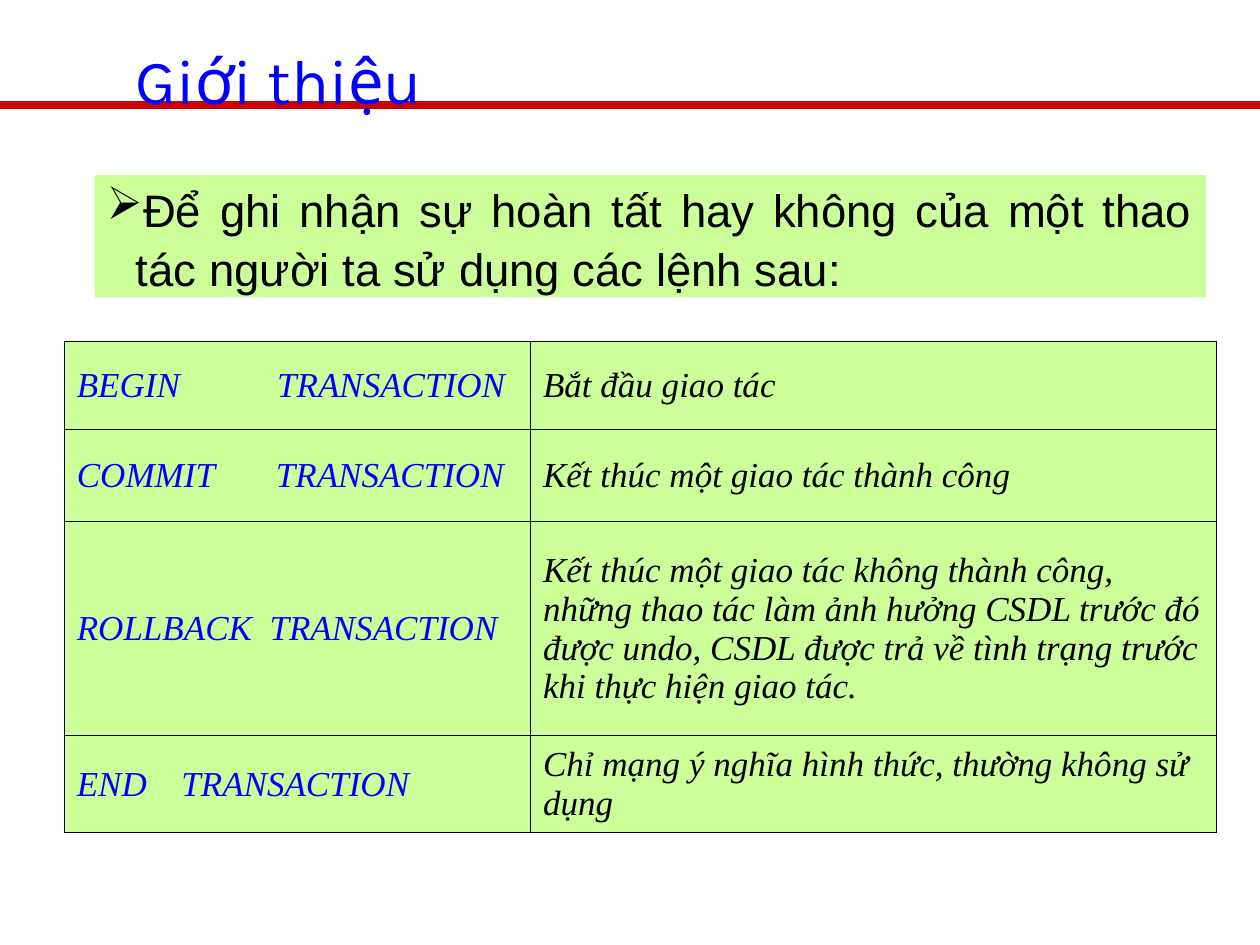
from lxml.etree import SubElement
from pptx import Presentation
from pptx.dml.color import RGBColor
from pptx.enum.shapes import MSO_CONNECTOR, MSO_SHAPE
from pptx.enum.text import MSO_ANCHOR, PP_ALIGN
from pptx.oxml.ns import qn
from pptx.util import Inches, Pt

COLORS = {"rule": "CC0000", "accent": "0000FF", "panel": "CCFF99", "ink": "000000"}

# Command words, tab stop of the second word in inches, meaning
COMMANDS = [
    ("BEGIN\tTRANSACTION", 1.59, "Bắt đầu giao tác"),
    ("COMMIT\tTRANSACTION", 1.58, "Kết thúc một giao tác thành công"),
    ("ROLLBACK\tTRANSACTION", 1.53,
     "Kết thúc một giao tác không thành công, những thao tác làm ảnh hưởng CSDL "
     "trước đó được undo, CSDL được trả về tình trạng trước khi thực hiện giao tác."),
    ("END\tTRANSACTION", 0.83, "Chỉ mạng ý nghĩa hình thức, thường không sử dụng"),
]
COLUMN_WIDTHS = [3.7, 5.44]
ROW_HEIGHTS = [0.7, 0.73, 1.7, 0.77]


def color(name):
    return RGBColor.from_string(COLORS[name])


def set_font(para, name, size, color_name, italic=False):
    font = para.font
    font.name, font.size, font.italic = name, Pt(size), italic
    font.color.rgb = color(color_name)


def add_tab_stop(para, inches):
    tabs = SubElement(para._p.get_or_add_pPr(), qn("a:tabLst"))
    SubElement(tabs, qn("a:tab"), pos=str(Inches(inches)), algn="l")


def add_bullet(para, mark, indent):
    props = para._p.get_or_add_pPr()
    props.set("marL", str(Inches(indent)))
    props.set("indent", str(-Inches(indent)))
    SubElement(props, qn("a:buChar"), char=mark)


def add_rule(page, left, top, width):
    rule = page.shapes.add_connector(
        MSO_CONNECTOR.STRAIGHT, Inches(left), Inches(top), Inches(left + width), Inches(top))
    rule.line.color.rgb = color("rule")
    rule.line.width = Pt(4.5)
    SubElement(rule._element.spPr, qn("a:effectLst"))


def add_title(page, left, top, width, height):
    box = page.shapes.add_textbox(Inches(left), Inches(top), Inches(width), Inches(height))
    box.text_frame.word_wrap = True
    para = box.text_frame.paragraphs[0]
    para.text = "Giới thiệu"
    set_font(para, "Karla", 36, "accent")


def add_intro(page, left, top, width, height):
    box = page.shapes.add_shape(
        MSO_SHAPE.RECTANGLE, Inches(left), Inches(top), Inches(width), Inches(height))
    box.shadow.inherit = False
    box.fill.solid()
    box.fill.fore_color.rgb = color("panel")
    box.line.fill.background()
    frame = box.text_frame
    frame.word_wrap = True
    frame.vertical_anchor = MSO_ANCHOR.MIDDLE
    para = frame.paragraphs[0]
    para.text = ("Để ghi nhận sự hoàn tất hay không của một thao tác "
                 "người ta sử dụng các lệnh sau:")
    add_bullet(para, "➢", 0.23)
    para.alignment = PP_ALIGN.JUSTIFY
    para.line_spacing = 1.08
    set_font(para, "Arial", 26, "ink")


def add_cell_borders(cell):
    """Draw the four edges; they must precede the fill in the cell properties."""
    props = cell._tc.get_or_add_tcPr()
    for edge in ("a:lnL", "a:lnR", "a:lnT", "a:lnB"):
        line = SubElement(props, qn(edge), w=str(Pt(0.45)))
        fill = SubElement(line, qn("a:solidFill"))
        SubElement(fill, qn("a:srgbClr"), val=COLORS["ink"])


def fill_cell(cell, text, color_name, tab_stop=None):
    cell.vertical_anchor = MSO_ANCHOR.MIDDLE
    add_cell_borders(cell)
    cell.fill.solid()
    cell.fill.fore_color.rgb = color("panel")
    para = cell.text_frame.paragraphs[0]
    para.text = text
    if tab_stop:
        add_tab_stop(para, tab_stop)
    set_font(para, "Times New Roman", 20, color_name, italic=True)


def add_command_table(page, left, top):
    table = page.shapes.add_table(
        len(COMMANDS), len(COLUMN_WIDTHS), Inches(left), Inches(top),
        Inches(sum(COLUMN_WIDTHS)), Inches(sum(ROW_HEIGHTS))).table
    table.first_row = table.horz_banding = False
    for column, width in zip(table.columns, COLUMN_WIDTHS):
        column.width = Inches(width)
    for index, (command, tab_stop, meaning) in enumerate(COMMANDS):
        table.rows[index].height = Inches(ROW_HEIGHTS[index])
        fill_cell(table.cell(index, 0), command, "accent", tab_stop)
        fill_cell(table.cell(index, 1), meaning, "ink")
        for cell in table.rows[index].cells:
            cell.margin_left = cell.margin_right = Inches(0.1)
            cell.margin_top = cell.margin_bottom = Inches(0.05)


def main():
    deck = Presentation()
    deck.slide_width, deck.slide_height = Inches(10), Inches(7.5)
    page = deck.slides.add_slide(deck.slide_layouts[6])
    add_rule(page, 0, 0.83, 10)
    add_title(page, 0.98, 0.28, 8.19, 0.7)
    add_intro(page, 0.75, 1.39, 8.82, 0.97)
    add_command_table(page, 0.51, 2.71)
    deck.save("out.pptx")


if __name__ == "__main__":
    main()
